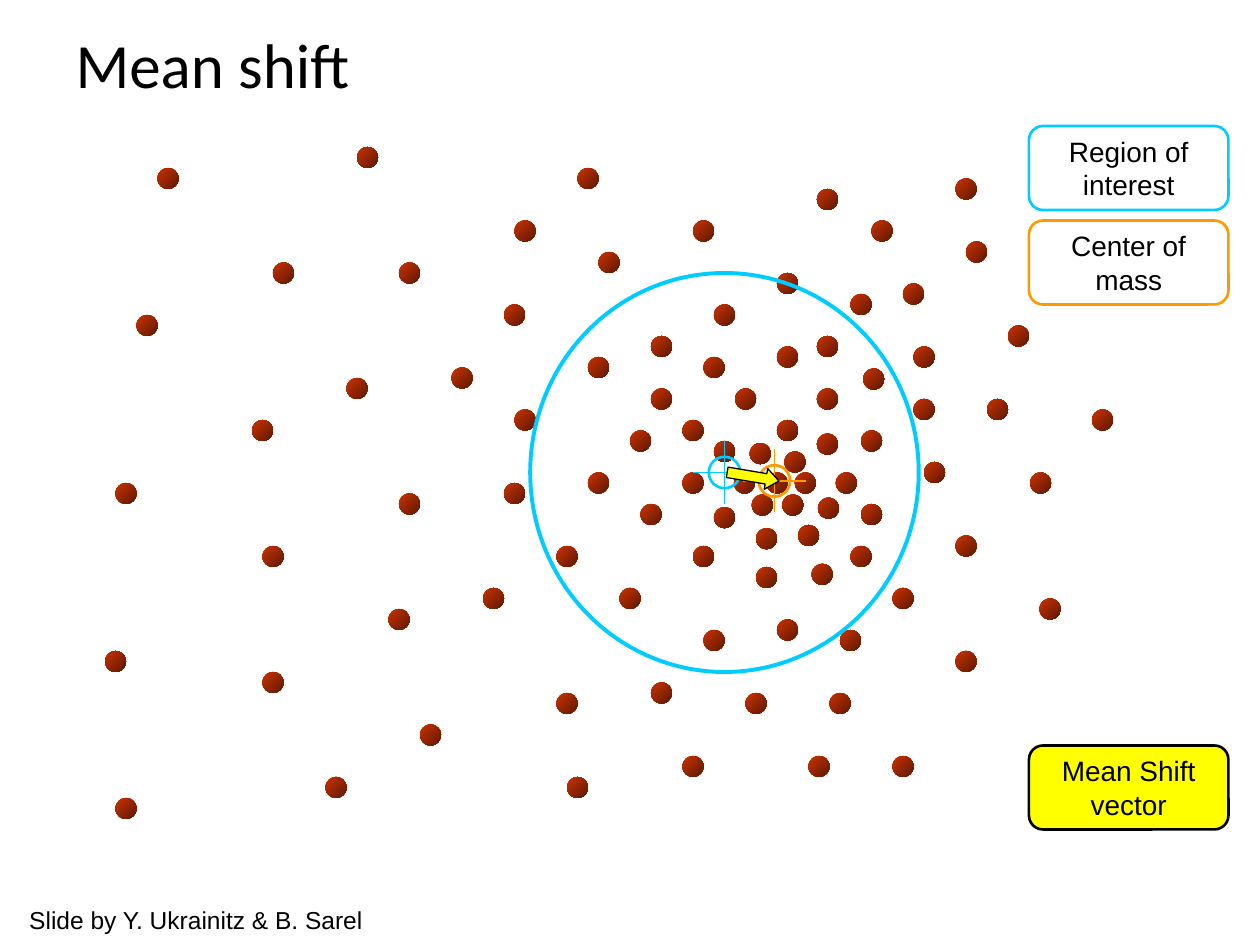
import math
import pptx
import pptx.util
from dataclasses import dataclass
from lxml import etree
from pptx.dml.color import RGBColor
from pptx.enum.shapes import MSO_CONNECTOR, MSO_SHAPE
from pptx.enum.text import MSO_ANCHOR, MSO_AUTO_SIZE, PP_ALIGN
from pptx.oxml.ns import qn


@dataclass(frozen=True)
class Theme:
    dot_light: str = "CC3300"
    dot_dark: str = "5E1800"
    region: str = "00CCFF"
    mass: str = "FF9900"
    vector: str = "FFFF00"
    ink: str = "000000"
    title_font: str = "Calibri"
    body_font: str = "Arial"
    title_size: int = 36
    label_size: int = 16
    credit_size: int = 14


THEME = Theme()

# The page is a grid of 120 columns by 90 rows, twelve cells to the inch
COLUMNS, ROWS, CELLS_PER_INCH = 120, 90, 12

# Sizes in cells
DOT_SIZE = 2
TARGET_SIZE = 6
WINDOW_WIDTH, WINDOW_HEIGHT = 37, 38
LABEL_WIDTH, LABEL_HEIGHT, LABEL_GAP = 19, 8, 1
VECTOR_LENGTH, VECTOR_THICKNESS, VECTOR_LEAD = 5, 2, 0.35

# Centers, as (column, row): the window now, and the mass it moves towards
WINDOW_CENTER = (69, 45)
MASS_CENTER = (73.75, 45.8)

# Observed data, as row: columns. Most samples sit on whole cells
SCATTERED_SAMPLES = {
    14: [34], 16: [15, 55], 17: [91], 21: [49, 66, 83], 23: [92],
    24: [57], 25: [26, 38], 26: [74], 27: [86], 28: [81], 29: [48, 68],
    30: [13], 31: [96], 32: [62], 33: [74, 87], 34: [56, 67], 35: [43],
    36: [33], 37: [62, 70], 38: [87, 94], 39: [49, 104], 40: [24, 65, 74],
    41: [60, 82], 42: [68], 44: [88], 45: [56, 65, 73], 46: [11, 48],
    47: [38], 48: [61, 82], 50: [76], 51: [91], 52: [25, 53, 66, 81],
    54: [72], 56: [46, 59, 85], 57: [99], 58: [37], 59: [74],
    60: [67, 80], 62: [10, 91], 64: [25], 65: [62], 66: [53, 71, 79],
    69: [40], 72: [65, 77, 85], 74: [31, 54], 76: [11],
}
# The others lie between cells, chiefly in the dense core
OFF_GRID_SAMPLES = {
    18: [77.8], 32: [77.8], 35.1: [82.2], 37: [77.8], 41.3: [77.8],
    42.2: [71.4], 43: [74.7], 45: [69.9, 75.7, 79.6, 98.1],
    47.1: [71.6, 74.5], 47.4: [77.9], 48.3: [68], 50.3: [72], 53.7: [77.3],
}


def cells(*counts):
    return [pptx.util.Inches(count / CELLS_PER_INCH) for count in counts]


def centered_box(center, width, height):
    column, row = center
    return column - width / 2, row - height / 2, width, height


def color(code):
    return RGBColor.from_string(code)


def write(frame, text, *, font, size, align=PP_ALIGN.LEFT, anchor=None, wrap=False):
    """Put each line of the text in its own paragraph."""
    frame.text = text
    frame.word_wrap = wrap
    if anchor is not None:
        frame.vertical_anchor = anchor
    for para in frame.paragraphs:
        para.alignment = align
        for span in para.runs:
            span.font.name = font
            span.font.size = pptx.util.Pt(size)
            span.font.color.rgb = color(THEME.ink)


def draw_shape(parent, kind, box, fill=None, line=None, weight=1.5):
    shape = parent.shapes.add_shape(kind, *cells(*box))
    shape.shadow.inherit = False
    if fill:
        shape.fill.solid()
        shape.fill.fore_color.rgb = color(fill)
    else:
        shape.fill.background()
    if line:
        shape.line.color.rgb = color(line)
        shape.line.width = pptx.util.Pt(weight)
    else:
        shape.line.fill.background()
    return shape


def draw_line(parent, start, end, line, weight=0.75):
    connector = parent.shapes.add_connector(
        MSO_CONNECTOR.STRAIGHT, *cells(*start, *end))
    connector.line.color.rgb = color(line)
    connector.line.width = pptx.util.Pt(weight)
    etree.SubElement(connector.element.spPr, qn("a:effectLst"))


def draw_samples(page, columns_by_row):
    for row, columns in columns_by_row.items():
        for column in columns:
            dot = draw_shape(page, MSO_SHAPE.OVAL, (column, row, DOT_SIZE, DOT_SIZE))
            dot.fill.gradient()
            dot.fill.gradient_angle = 315
            for stop, code in zip(dot.fill.gradient_stops,
                                  (THEME.dot_light, THEME.dot_dark)):
                stop.color.rgb = color(code)


def draw_target(parent, box, line):
    """A crosshair filling the box, with a ring of half its size."""
    left, top, width, height = box
    middle, center = left + width / 2, top + height / 2
    ring = centered_box((middle, center), width / 2, height / 2)
    draw_shape(parent, MSO_SHAPE.OVAL, ring, line=line)
    draw_line(parent, (middle, top), (middle, top + height), line)
    draw_line(parent, (left, center), (left + width, center), line)


def draw_region(page, box):
    """The search window, with a target at its center."""
    left, top, width, height = box
    group = page.shapes.add_group_shape()
    draw_shape(group, MSO_SHAPE.OVAL, box, line=THEME.region, weight=2.25)
    center = left + width / 2, top + height / 2
    draw_target(group, centered_box(center, TARGET_SIZE, TARGET_SIZE), THEME.region)


def draw_vector(page, start, end):
    """An arrow along the line between two centers, a little ahead of its middle."""
    across, down = end[0] - start[0], end[1] - start[1]
    middle = start[0] + across / 2 + VECTOR_LEAD, start[1] + down / 2
    arrow = draw_shape(page, MSO_SHAPE.RIGHT_ARROW,
                       centered_box(middle, VECTOR_LENGTH, VECTOR_THICKNESS),
                       THEME.vector, THEME.ink, 0.75)
    arrow.adjustments[1] = 0.625
    arrow.rotation = math.degrees(math.atan2(down, across))


def draw_key(page, left, top, entries):
    """Stack labels downwards at an equal gap."""
    for index, (text, line, fill) in enumerate(entries):
        row = top + index * (LABEL_HEIGHT + LABEL_GAP)
        label = draw_shape(page, MSO_SHAPE.ROUNDED_RECTANGLE,
                           (left, row, LABEL_WIDTH, LABEL_HEIGHT), fill, line)
        write(label.text_frame, text, font=THEME.body_font, size=THEME.label_size,
              align=PP_ALIGN.CENTER, anchor=MSO_ANCHOR.MIDDLE)


def draw_credit(page, box, text):
    credit = page.shapes.add_textbox(*cells(*box))
    write(credit.text_frame, text, font=THEME.body_font, size=THEME.credit_size)
    credit.text_frame.auto_size = MSO_AUTO_SIZE.SHAPE_TO_FIT_TEXT


def draw_title(page, box, text):
    title = page.shapes.title
    title.left, title.top, title.width, title.height = cells(*box)
    write(title.text_frame, text, font=THEME.title_font, size=THEME.title_size,
          anchor=MSO_ANCHOR.MIDDLE, wrap=True)
    # Bring the title to the front
    title.element.getparent().append(title.element)


def main():
    deck = pptx.Presentation()
    deck.slide_width, deck.slide_height = cells(COLUMNS, ROWS)
    page = deck.slides.add_slide(deck.slide_layouts[5])

    # Samples and the search window
    for samples in (SCATTERED_SAMPLES, OFF_GRID_SAMPLES):
        draw_samples(page, samples)
    draw_region(page, centered_box(WINDOW_CENTER, WINDOW_WIDTH, WINDOW_HEIGHT))

    # Key: the two centers at the top, the vector at the bottom
    draw_key(page, 98, 12, [("Region of\ninterest", THEME.region, None),
                            ("Center of\nmass", THEME.mass, None)])
    draw_key(page, 98, 71, [("Mean Shift\nvector", THEME.ink, THEME.vector)])

    # Center of mass and the step towards it
    draw_target(page.shapes.add_group_shape(),
                centered_box(MASS_CENTER, TARGET_SIZE, TARGET_SIZE), THEME.mass)
    draw_vector(page, WINDOW_CENTER, MASS_CENTER)

    # Wording
    draw_credit(page, (1.6, 85.6, 34.4, 4), "Slide by Y. Ukrainitz & B. Sarel")
    draw_title(page, (6, 0, 108, 12), "Mean shift")
    deck.save("out.pptx")


if __name__ == "__main__":
    main()
